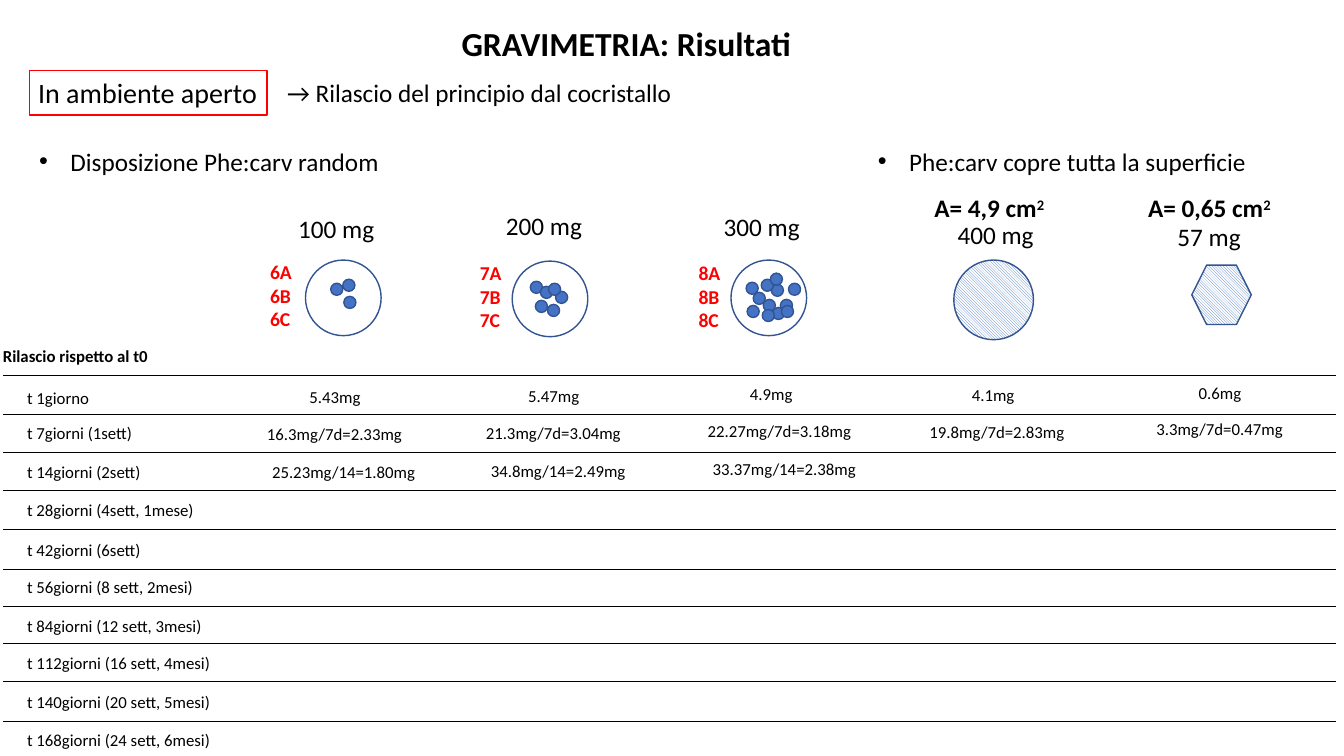
from lxml import etree
from pptx import Presentation
from pptx.dml.color import RGBColor
from pptx.enum.dml import MSO_PATTERN
from pptx.enum.shapes import MSO_CONNECTOR, MSO_SHAPE
from pptx.enum.text import MSO_AUTO_SIZE
from pptx.oxml.ns import qn
from pptx.util import Inches, Pt

ELLIPSE, HEXAGON, RECTANGLE = MSO_SHAPE.OVAL, MSO_SHAPE.HEXAGON, MSO_SHAPE.RECTANGLE
STRAIGHT = MSO_CONNECTOR.STRAIGHT
HATCH = MSO_PATTERN.DARK_DOWNWARD_DIAGONAL
GROW = MSO_AUTO_SIZE.SHAPE_TO_FIT_TEXT

COLORS = {"text": "000000", "red": "FF0000", "blue": "4472C4",
          "outline": "325491", "white": "FFFFFF"}
DOT_SIZE = 0.12
DISH_SIZE = 0.75

DISHES = [
    ("100 mg", (2.86, 2.07), (3.03, 2.58), ["6A", "6B", "6C"], (2.58, 2.53),
     [(3.28, 2.81), (3.4, 2.77), (3.41, 2.94)]),
    ("200 mg", (4.92, 2.04), (5.08, 2.59), ["7A", "7B", "7C"], (4.66, 2.54),
     [(5.26, 2.79), (5.36, 2.84), (5.51, 2.89), (5.43, 3.02), (5.44, 2.81),
      (5.31, 2.98)]),
    ("300 mg", (7.08, 2.05), (7.25, 2.58), ["8A", "8B", "8C"], (6.83, 2.54),
     [(7.4, 2.8), (7.57, 2.97), (7.66, 3.05), (7.65, 2.82), (7.41, 3.03),
      (7.74, 2.97), (7.55, 2.77), (7.56, 3.07), (7.47, 2.9), (7.64, 2.71),
      (7.75, 3.03), (7.82, 2.81)]),
]

TIMES = [
    (3.72, 3.8, 0.82, "t 1giorno"),
    (4.11, 4.14, 1.26, "t 7giorni (1sett)"),
    (4.49, 4.53, 1.35, "t 14giorni (2sett)"),
    (4.86, 4.91, 1.88, "t 28giorni (4sett, 1mese)"),
    (5.25, 5.31, 1.35, "t 42giorni (6sett)"),
    (5.65, 5.67, 1.87, "t 56giorni (8 sett, 2mesi)"),
    (6.02, 6.06, 1.96, "t 84giorni (12 sett, 3mesi)"),
    (6.38, 6.43, 2.05, "t 112giorni (16 sett, 4mesi)"),
    (6.76, 6.81, 2.05, "t 140giorni (20 sett, 5mesi)"),
    (7.16, 7.19, 2.05, "t 168giorni (24 sett, 6mesi)"),
]

RELEASE_OFFSETS = [(0.42, 0), (0, 0.36), (0.05, 0.74)]
RELEASES = [
    (2.55, 3.79, ["5.43mg", "16.3mg/7d=2.33mg", "25.23mg/14=1.80mg"]),
    (4.72, 3.78, ["5.47mg", "21.3mg/7d=3.04mg", "34.8mg/14=2.49mg"]),
    (6.92, 3.76, ["4.9mg", "22.27mg/7d=3.18mg", "33.37mg/14=2.38mg"]),
    (9.12, 3.77, ["4.1mg", "19.8mg/7d=2.83mg"]),
    (11.37, 3.75, ["0.6mg", "3.3mg/7d=0.47mg"]),
]


def rgb(name):
    return RGBColor.from_string(COLORS[name])


def add_run(paragraph, text, size, color, bold):
    run = paragraph.add_run()
    run.text = text
    for attribute, value in {"name": "Calibri", "size": Pt(size), "bold": bold}.items():
        setattr(run.font, attribute, value)
    run.font.color.rgb = rgb(color)
    return run


def add_bullet(paragraph):
    properties = paragraph._p.get_or_add_pPr()
    properties.set("marL", str(Inches(0.31)))
    properties.set("indent", str(-Inches(0.31)))
    etree.SubElement(properties, qn("a:buFont"), typeface="Arial")
    etree.SubElement(properties, qn("a:buChar"), char="•")


def add_text(shapes, box, lines, size=18, color="text", bold=False,
             bullet=False, superscript=""):
    frame = shapes.add_textbox(*map(Inches, box)).text_frame
    frame.word_wrap = False
    frame.auto_size = GROW
    for index, line in enumerate(lines):
        paragraph = frame.add_paragraph() if index else frame.paragraphs[0]
        if bullet:
            add_bullet(paragraph)
        add_run(paragraph, line, size, color, bold)
        if superscript:
            exponent = add_run(paragraph, superscript, size, color, bold)
            exponent._r.get_or_add_rPr().set("baseline", "30000")


def add_outline(shapes, kind, box, fill=None, line="outline", hatched=False):
    shape = shapes.add_shape(kind, *map(Inches, box))
    shape.shadow.inherit = False
    if hatched:
        shape.fill.patterned()
        shape.fill.pattern = HATCH
        shape.fill.fore_color.rgb = rgb("blue")
        shape.fill.back_color.rgb = rgb("white")
    elif fill:
        shape.fill.solid()
        shape.fill.fore_color.rgb = rgb(fill)
    else:
        shape.fill.background()
    shape.line.color.rgb = rgb(line)
    shape.line.width = Pt(1)


def add_rule(shapes, top):
    rule = shapes.add_connector(STRAIGHT, *map(Inches, (0.03, top, 13.25, top)))
    rule.line.color.rgb = rgb("text")
    rule.line.width = Pt(0.5)
    etree.SubElement(rule._element.spPr, qn("a:effectLst"))


def add_dish(shapes, mass, mass_at, dish_at, samples, samples_at, crystals):
    dish = shapes.add_group_shape().shapes
    add_outline(dish, ELLIPSE, (*dish_at, DISH_SIZE, DISH_SIZE))
    add_text(dish, (*mass_at, 0.96, 0.4), [mass])
    for crystal_at in crystals:
        add_outline(dish, ELLIPSE, (*crystal_at, DOT_SIZE, DOT_SIZE), fill="blue")
    add_text(dish, (*samples_at, 0.42, 0.81), samples, size=14, color="red", bold=True)


def add_headings(shapes):
    add_text(shapes, (4.48, 0.18, 3.5, 0.5), ["GRAVIMETRIA: Risultati"], size=24, bold=True)
    add_text(shapes, (0.28, 0.7, 2.39, 0.44), ["In ambiente aperto"], size=20)
    add_outline(shapes, RECTANGLE, (0.29, 0.7, 2.36, 0.44), line="red")
    add_text(shapes, (2.75, 0.72, 4.13, 0.4), ["→ Rilascio del principio dal cocristallo"])
    add_text(shapes, (0.29, 1.4, 3.61, 0.4), ["Disposizione Phe:carv random"], bullet=True)
    add_text(shapes, (8.61, 1.4, 3.9, 0.4), ["Phe:carv copre tutta la superficie"], bullet=True)


def add_covered_surfaces(shapes):
    add_text(shapes, (9.17, 1.86, 1.36, 0.4), ["A= 4,9 cm"], bold=True, superscript="2")
    add_text(shapes, (11.29, 1.86, 1.44, 0.4), ["A= 0,65 cm"], bold=True, superscript="2")
    add_outline(shapes, ELLIPSE, (9.46, 2.58, 0.79, 0.79), hatched=True)
    add_outline(shapes, HEXAGON, (11.82, 2.63, 0.59, 0.59), hatched=True)
    add_text(shapes, (9.4, 2.13, 0.96, 0.4), ["400 mg"])
    add_text(shapes, (11.58, 2.15, 0.84, 0.4), ["57 mg"])


def add_release_grid(shapes):
    add_text(shapes, (-0.07, 3.38, 1.66, 0.3), ["Rilascio rispetto al t0"], size=12, bold=True)
    for rule_top, label_top, width, label in TIMES:
        add_text(shapes, (0.17, label_top, width, 0.3), [label], size=12)
        add_rule(shapes, rule_top)
    for left, top, amounts in RELEASES:
        for (right_by, down_by), amount in zip(RELEASE_OFFSETS, amounts):
            width = 0.2 + 0.085 * len(amount)
            add_text(shapes, (left + right_by, top + down_by, width, 0.3), [amount], size=12)


def main():
    deck = Presentation()
    deck.slide_width, deck.slide_height = Inches(13.33), Inches(7.5)
    shapes = deck.slides.add_slide(deck.slide_layouts[6]).shapes
    add_headings(shapes)
    for dish in DISHES:
        add_dish(shapes, *dish)
    add_covered_surfaces(shapes)
    add_release_grid(shapes)
    deck.save("out.pptx")


if __name__ == "__main__":
    main()
